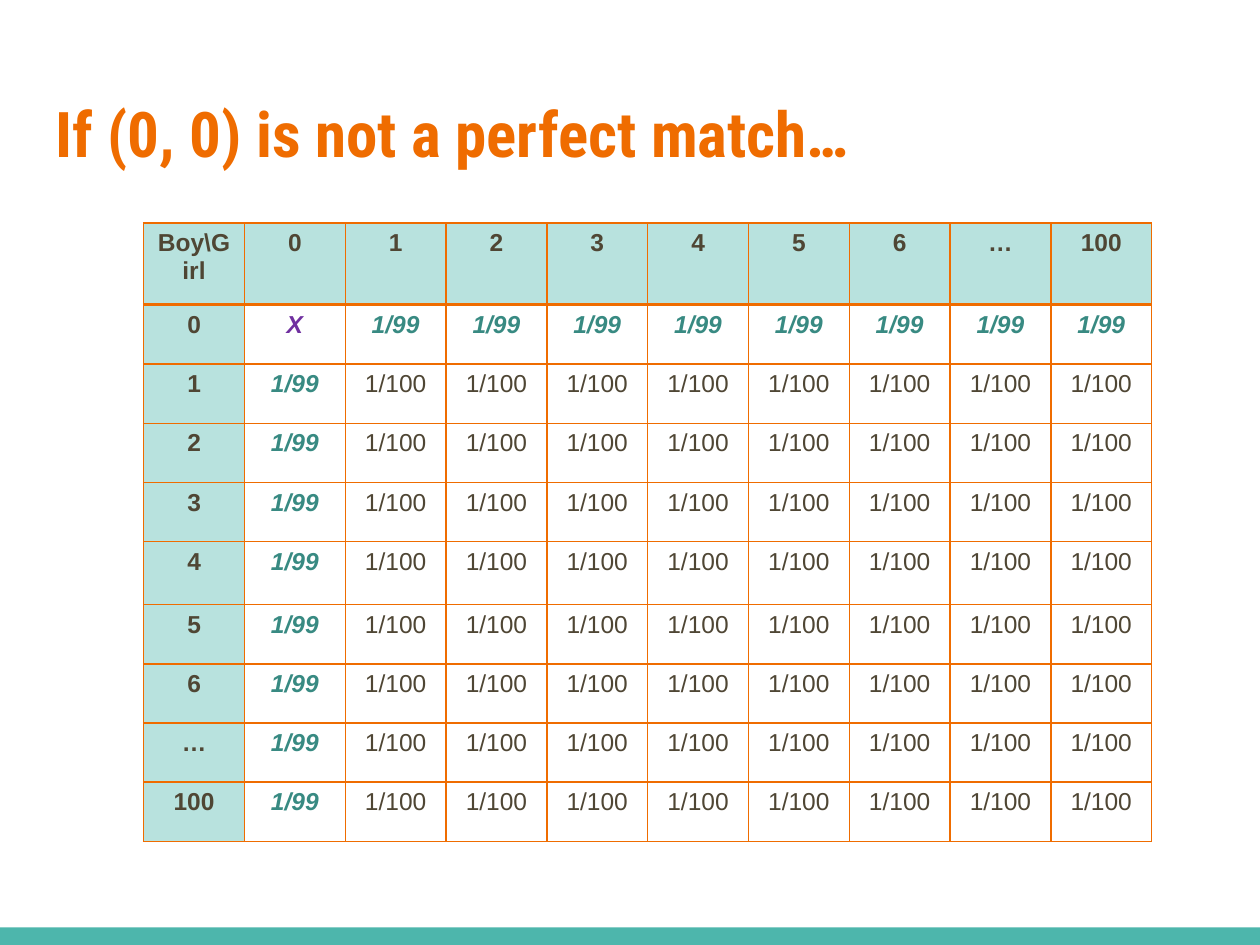
from dataclasses import dataclass

from lxml import etree
from pptx import Presentation
from pptx.dml.color import RGBColor
from pptx.enum.shapes import MSO_SHAPE
from pptx.enum.text import MSO_ANCHOR, PP_ALIGN
from pptx.oxml.ns import qn
from pptx.util import Inches, Pt

RECTANGLE = MSO_SHAPE.RECTANGLE
TOP = MSO_ANCHOR.TOP
LEFT, CENTER = PP_ALIGN.LEFT, PP_ALIGN.CENTER

COLORS = {
    "orange": "EF6C00",
    "teal": "4DB6AC",
    "pale_teal": "B8E2DE",
    "dark_teal": "388A82",
    "purple": "7030A0",
    "brown": "4F4634",
    "white": "FFFFFF",
}
LABELS = ["0", "1", "2", "3", "4", "5", "6", "…", "100"]
COLUMN_WIDTH = 0.8
HEADER_HEIGHT, ROW_HEIGHT, TALL_ROW_HEIGHT = 0.65, 0.47, 0.5
TALL_ROW = LABELS.index("4") + 1


@dataclass(frozen=True)
class CellSpec:
    text: str
    color: str = "brown"
    fill: str = "white"
    bold: bool = False
    italic: bool = False


def rgb(name: str) -> RGBColor:
    return RGBColor.from_string(COLORS[name])


def write_text(frame, text: str, *, font: str, size: float, color: str,
               bold: bool = False, italic: bool = False, align=LEFT) -> None:
    para = frame.paragraphs[0]
    para.alignment = align
    span = para.add_run()
    span.text = text
    span.font.name = font
    span.font.size = Pt(size)
    span.font.bold = bold
    span.font.italic = italic
    span.font.color.rgb = rgb(color)


def set_border(cell, side: str, width: float) -> None:
    properties = cell._tc.get_or_add_tcPr()
    line = etree.SubElement(properties, qn(f"a:ln{side}"), w=str(Pt(width)))
    fill = etree.SubElement(line, qn("a:solidFill"))
    etree.SubElement(fill, qn("a:srgbClr"), val=COLORS["orange"])


def cell_spec(row: int, column: int) -> CellSpec:
    if row == 0 or column == 0:
        label = LABELS[row + column - 1] if row + column else "Boy\\Girl"
        return CellSpec(label, fill="pale_teal", bold=True)
    if row == column == 1:
        return CellSpec("X", color="purple", bold=True, italic=True)
    if row == 1 or column == 1:
        return CellSpec("1/99", color="dark_teal", bold=True, italic=True)
    return CellSpec("1/100")


def draw_cell(cell, row: int, column: int) -> None:
    spec_for_cell = cell_spec(row, column)
    set_border(cell, "L", 1)
    set_border(cell, "R", 1)
    set_border(cell, "T", 2 if row == 1 else 1)
    set_border(cell, "B", 2 if row == 0 else 1)
    cell.fill.solid()
    cell.fill.fore_color.rgb = rgb(spec_for_cell.fill)
    write_text(cell.text_frame, spec_for_cell.text, font="Arial", size=14,
               color=spec_for_cell.color, bold=spec_for_cell.bold,
               italic=spec_for_cell.italic, align=CENTER)


def draw_match_table(page) -> None:
    count = len(LABELS) + 1
    heights = [HEADER_HEIGHT] + [ROW_HEIGHT] * len(LABELS)
    heights[TALL_ROW] = TALL_ROW_HEIGHT
    table = page.shapes.add_table(
        count, count, Inches(1.14), Inches(1.77),
        Inches(COLUMN_WIDTH * count), Inches(sum(heights))).table
    table.first_row = False
    table.horz_banding = False
    for column in table.columns:
        column.width = Inches(COLUMN_WIDTH)
    for row, height in zip(table.rows, heights):
        row.height = Inches(height)
    for row in range(count):
        for column in range(count):
            draw_cell(table.cell(row, column), row, column)


def draw_footer_bar(page) -> None:
    bar = page.shapes.add_shape(
        RECTANGLE, Inches(0), Inches(7.36), Inches(10), Inches(0.14))
    bar.shadow.inherit = False
    bar.fill.solid()
    bar.fill.fore_color.rgb = rgb("teal")
    bar.line.fill.background()


def draw_title(page) -> None:
    box = page.shapes.add_textbox(
        Inches(0.34), Inches(0.65), Inches(9.32), Inches(1.03))
    frame = box.text_frame
    frame.word_wrap = True
    frame.vertical_anchor = TOP
    frame.margin_left = frame.margin_right = Inches(0.1)
    frame.margin_top = frame.margin_bottom = Inches(0.1)
    write_text(frame, "If (0, 0) is not a perfect match…",
               font="Roboto Condensed", size=36, color="orange", bold=True)


def main() -> None:
    deck = Presentation()
    deck.slide_width, deck.slide_height = Inches(10), Inches(7.5)
    page = deck.slides.add_slide(deck.slide_layouts[6])
    draw_footer_bar(page)
    draw_title(page)
    draw_match_table(page)
    deck.save("out.pptx")


if __name__ == "__main__":
    main()
